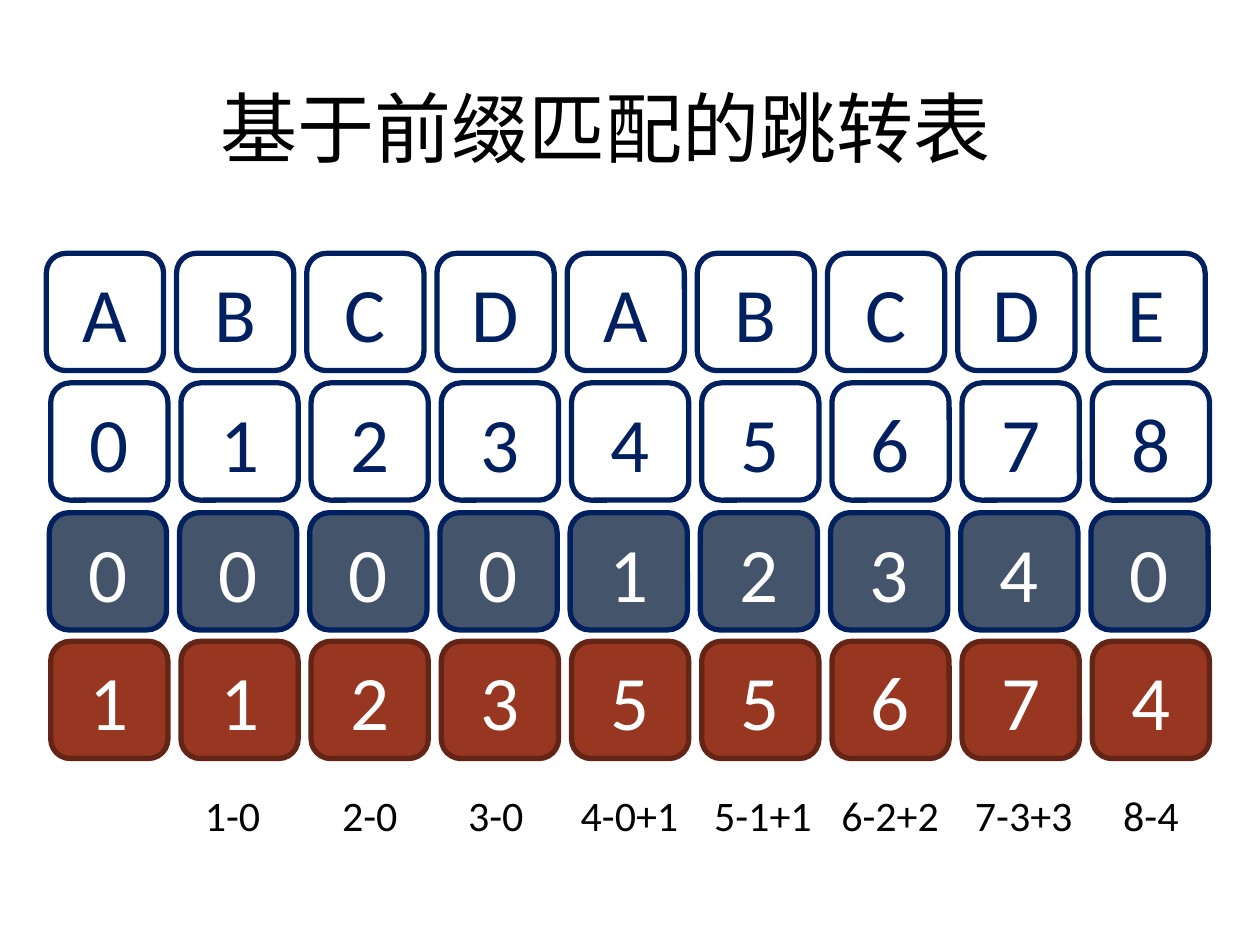
from dataclasses import dataclass

import pptx
import pptx.dml.color
import pptx.enum.shapes
import pptx.enum.text
import pptx.oxml.ns
import pptx.util
from lxml import etree

Pt = pptx.util.Pt
ALIGN = pptx.enum.text.PP_ALIGN
ANCHOR = pptx.enum.text.MSO_ANCHOR


@dataclass(frozen=True)
class Theme:
    white: str = "FFFFFF"
    black: str = "000000"
    navy: str = "002060"
    slate: str = "44546A"
    red: str = "973721"
    dark_red: str = "642416"
    font: str = "Calibri"
    title_font: str = "Noto Sans CJK JP"
    large: int = 44
    small: int = 24
    border: int = 3


THEME = Theme()
CELL = 67
PITCH = 74.4


def rgb(value):
    return pptx.dml.color.RGBColor.from_string(value)


def write_text(shape, text, size, color, font, anchor):
    """Fill a shape with one centred paragraph."""
    frame = shape.text_frame
    frame.word_wrap = True
    frame.vertical_anchor = anchor
    paragraph = frame.paragraphs[0]
    paragraph.text = text
    paragraph.alignment = ALIGN.CENTER
    paragraph.font.size = Pt(size)
    paragraph.font.color.rgb = rgb(color)
    paragraph.font.name = font
    return paragraph


def add_title(slide, left, top, width, height, text):
    box = slide.shapes.add_textbox(Pt(left), Pt(top), Pt(width), Pt(height))
    paragraph = write_text(box, text, THEME.large, THEME.black,
                           THEME.title_font, ANCHOR.TOP)
    paragraph.line_spacing = 0.9
    # Chinese characters take the East Asian typeface
    for run in paragraph.runs:
        east_asian = etree.SubElement(run.font._element, pptx.oxml.ns.qn("a:ea"))
        east_asian.set("typeface", THEME.title_font)


def add_cell_row(slide, left, top, values, fill, line, color):
    for column, value in enumerate(values):
        cell = slide.shapes.add_shape(
            pptx.enum.shapes.MSO_SHAPE.ROUNDED_RECTANGLE,
            Pt(left + column * PITCH), Pt(top), Pt(CELL), Pt(CELL))
        cell.shadow.inherit = False
        cell.fill.solid()
        cell.fill.fore_color.rgb = rgb(fill)
        cell.line.color.rgb = rgb(line)
        cell.line.width = Pt(THEME.border)
        write_text(cell, value, THEME.large, color, THEME.font, ANCHOR.MIDDLE)


def add_formulas(slide, top, width, height, formulas):
    for left, formula in formulas:
        box = slide.shapes.add_textbox(Pt(left), Pt(top), Pt(width), Pt(height))
        write_text(box, formula, THEME.small, THEME.black, THEME.font, ANCHOR.TOP)
        box.text_frame.auto_size = pptx.enum.text.MSO_AUTO_SIZE.SHAPE_TO_FIT_TEXT


def main():
    presentation = pptx.Presentation()
    presentation.slide_width = Pt(720)
    presentation.slide_height = Pt(540)
    slide = presentation.slides.add_slide(presentation.slide_layouts[6])

    add_title(slide, 40.3, 48.2, 611.3, 76.3, "基于前缀匹配的跳转表")

    # Pattern, index, prefix length and jump distance
    add_cell_row(slide, 26.5, 144.8, "ABCDABCDE",
                 THEME.white, THEME.navy, THEME.navy)
    add_cell_row(slide, 29, 218.8, "012345678",
                 THEME.white, THEME.navy, THEME.navy)
    add_cell_row(slide, 28.2, 293, "000012340",
                 THEME.slate, THEME.navy, THEME.white)
    add_cell_row(slide, 29, 366.5, "112355674",
                 THEME.red, THEME.dark_red, THEME.white)

    # Calculation of each jump, under its column
    add_formulas(slide, 447.8, 74.2, 36, [
        (95.8, "1-0"), (174.2, "2-0"), (246.2, "3-0"), (322.6, "4-0+1"),
        (398.9, "5-1+1"), (471.6, "6-2+2"), (547.9, "7-3+3"), (620.6, "8-4")])

    presentation.save("out.pptx")


if __name__ == "__main__":
    main()
